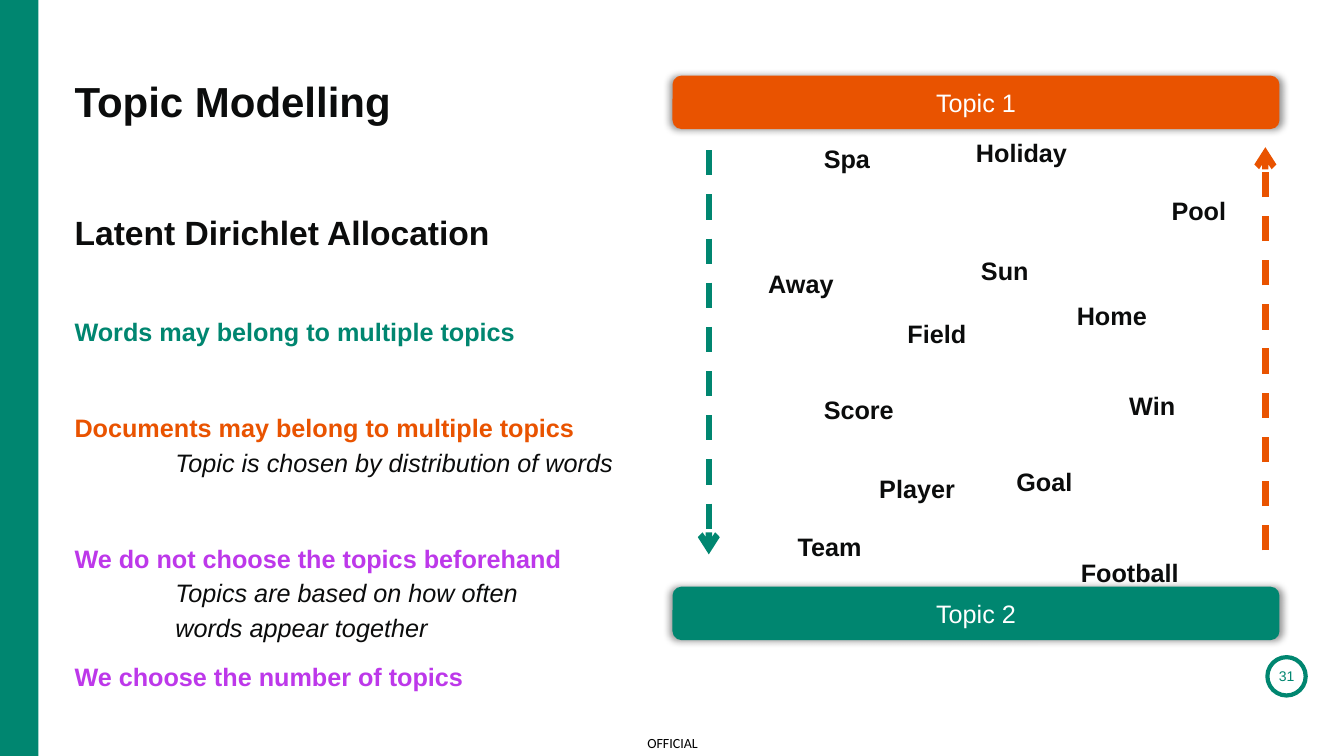
from dataclasses import dataclass

from lxml.etree import SubElement
from pptx import Presentation
from pptx.dml.color import RGBColor
from pptx.enum.dml import MSO_LINE
from pptx.enum.shapes import MSO_CONNECTOR, MSO_SHAPE
from pptx.enum.text import MSO_ANCHOR, PP_ALIGN
from pptx.oxml.ns import qn
from pptx.util import Inches, Pt


@dataclass(frozen=True)
class Theme:
    green: str = "008670"
    orange: str = "E95300"
    purple: str = "BD38EA"
    ink: str = "0B0C0C"
    black: str = "000000"
    white: str = "FFFFFF"
    font: str = "Arial"
    footer_font: str = "Calibri"
    title: int = 30
    subtitle: int = 24
    body: int = 18
    small: int = 10
    leading: float = 1.15


THEME = Theme()

# All places and sizes are percentages of the slide's width and height.
TITLE = ("Topic Modelling", 10, 6.67, THEME.title, 1)
SUBTITLE = ("Latent Dirichlet Allocation", 27.2, 5.47, THEME.subtitle, THEME.leading)
LEFT_COLUMN = (5.55, 44.41)

# Statement, detail, colour, space before in points
POINTS = [
    ("Words may belong to multiple topics", None, THEME.green, 0),
    ("Documents may belong to multiple topics",
     "Topic is chosen by distribution of words", THEME.orange, 43.8),
    ("We do not choose the topics beforehand",
     "Topics are based on how often\vwords appear together", THEME.purple, 43.8),
    ("We choose the number of topics", None, THEME.purple, 10),
]
BODY_TOP, BODY_HEIGHT = 41.2, 48.8

TOPICS = [("Topic 1", 10, THEME.orange), ("Topic 2", 77.6, THEME.green)]
TOPIC_LEFT, TOPIC_WIDTH, TOPIC_HEIGHT = 50.04, 45.16, 7.07

# Arrow column, start, end, colour
ARROWS = [(52.74, 19.87, 73.33, THEME.green), (94.15, 72.8, 19.47, THEME.orange)]

# Word, left, top, width
WORDS = [
    ("Spa", 61.29, 18.4, 6.08), ("Holiday", 72.62, 17.6, 7.88),
    ("Pool", 87.17, 25.2, 6.08), ("Sun", 72.99, 33.2, 6.08),
    ("Away", 57.16, 34.93, 6.08), ("Home", 80.12, 39.07, 6.08),
    ("Field", 67.52, 41.47, 6.08), ("Win", 84.02, 51.07, 6.08),
    ("Score", 61.29, 51.6, 6.08), ("Goal", 75.62, 61.07, 6.08),
    ("Player", 65.42, 62, 6.08), ("Team", 59.34, 69.73, 6.08),
    ("Football", 80.42, 73.07, 9.45),
]
WORD_HEIGHT = 7.07

FOOTER = ("OFFICIAL", (47.04, 96.13, 6, 3.87))
PAGE_NUMBER = ("31", (94.3, 86.93, 2.85, 5.07))

deck = Presentation()
deck.slide_width, deck.slide_height = Inches(13.33), Inches(7.5)
slide = deck.slides.add_slide(deck.slide_layouts[6])


def across(share):
    return round(deck.slide_width * share / 100)


def down(share):
    return round(deck.slide_height * share / 100)


def place(left, top, width, height):
    return across(left), down(top), across(width), down(height)


def rgb(colour):
    return RGBColor.from_string(colour)


def style(paragraph, size, colour, bold=False, italic=False, font=THEME.font,
          leading=THEME.leading, align=PP_ALIGN.LEFT):
    paragraph.line_spacing = leading
    paragraph.alignment = align
    paragraph.font.name = font
    paragraph.font.size = Pt(size)
    paragraph.font.bold = bold
    paragraph.font.italic = italic
    paragraph.font.color.rgb = rgb(colour)


def prepare(frame, anchor=MSO_ANCHOR.TOP):
    """Wrap the text, drop the insets and return the first paragraph."""
    frame.word_wrap = True
    frame.vertical_anchor = anchor
    frame.margin_left = frame.margin_right = frame.margin_top = frame.margin_bottom = 0
    return frame.paragraphs[0]


def add_label(text, box, size, colour, anchor=MSO_ANCHOR.TOP, **looks):
    label = prepare(slide.shapes.add_textbox(*place(*box)).text_frame, anchor)
    label.text = text
    style(label, size, colour, **looks)


def add_panel(preset, box, fill=None):
    panel = slide.shapes.add_shape(preset, *place(*box))
    panel.shadow.inherit = False
    if fill:
        panel.fill.solid()
        panel.fill.fore_color.rgb = rgb(fill)
    else:
        panel.fill.background()
    panel.line.fill.background()
    return panel


def add_glow(panel):
    """Give the panel a soft dark shadow on every side."""
    effects = panel.element.spPr.find(qn("a:effectLst"))
    shadow = SubElement(effects, qn("a:outerShdw"), blurRad=str(Pt(5)), dist="0",
                        dir="0", sx="101000", sy="101000", algn="ctr", rotWithShape="0")
    tint = SubElement(shadow, qn("a:srgbClr"), val=THEME.black)
    SubElement(tint, qn("a:alpha"), val="40000")


def add_arrow(column, start, end, colour):
    arrow = slide.shapes.add_connector(MSO_CONNECTOR.STRAIGHT, across(column), down(start),
                                       across(column), down(end))
    arrow.line.color.rgb = rgb(colour)
    arrow.line.width = Pt(4.5)
    arrow.line.dash_style = MSO_LINE.DASH
    SubElement(arrow.line._get_or_add_ln(), qn("a:tailEnd"), type="arrow")
    SubElement(arrow.element.spPr, qn("a:effectLst"))


def add_points():
    left, width = LEFT_COLUMN
    frame = slide.shapes.add_textbox(*place(left, BODY_TOP, width, BODY_HEIGHT)).text_frame
    statement = prepare(frame)
    for number, (claim, detail, colour, gap) in enumerate(POINTS):
        if number:
            statement = frame.add_paragraph()
        statement.text = claim
        statement.space_before = Pt(gap)
        style(statement, THEME.body, colour, bold=True)
        if detail:
            remark = frame.add_paragraph()
            remark.text = detail
            remark.space_before = Pt(0)
            remark._p.get_or_add_pPr().set("marL", str(Inches(1)))
            style(remark, THEME.body, THEME.ink, italic=True)


def main():
    add_panel(MSO_SHAPE.RECTANGLE, (0, 0, 2.85, 100), THEME.green)
    text, box = FOOTER
    add_label(text, box, THEME.small, THEME.black, MSO_ANCHOR.MIDDLE,
              font=THEME.footer_font, align=PP_ALIGN.CENTER)

    text, box = PAGE_NUMBER
    badge = add_panel(MSO_SHAPE.OVAL, box)
    badge.line.color.rgb = rgb(THEME.green)
    badge.line.width = Pt(3)
    number = prepare(badge.text_frame, MSO_ANCHOR.MIDDLE)
    number.text = text
    style(number, THEME.small, THEME.green, leading=1, align=PP_ALIGN.CENTER)

    left, width = LEFT_COLUMN
    for text, top, height, size, leading in (TITLE, SUBTITLE):
        add_label(text, (left, top, width, height), size, THEME.ink,
                  bold=True, leading=leading)
    add_points()

    for name, top, colour in TOPICS:
        topic = add_panel(MSO_SHAPE.ROUNDED_RECTANGLE,
                          (TOPIC_LEFT, top, TOPIC_WIDTH, TOPIC_HEIGHT), colour)
        add_glow(topic)
        heading = prepare(topic.text_frame, MSO_ANCHOR.MIDDLE)
        heading.text = name
        style(heading, THEME.body, THEME.white, leading=1, align=PP_ALIGN.CENTER)

    for word, left, top, width in WORDS:
        add_label(word, (left, top, width, WORD_HEIGHT), THEME.body, THEME.ink, bold=True)
    for arrow in ARROWS:
        add_arrow(*arrow)
    deck.save("out.pptx")


if __name__ == "__main__":
    main()
